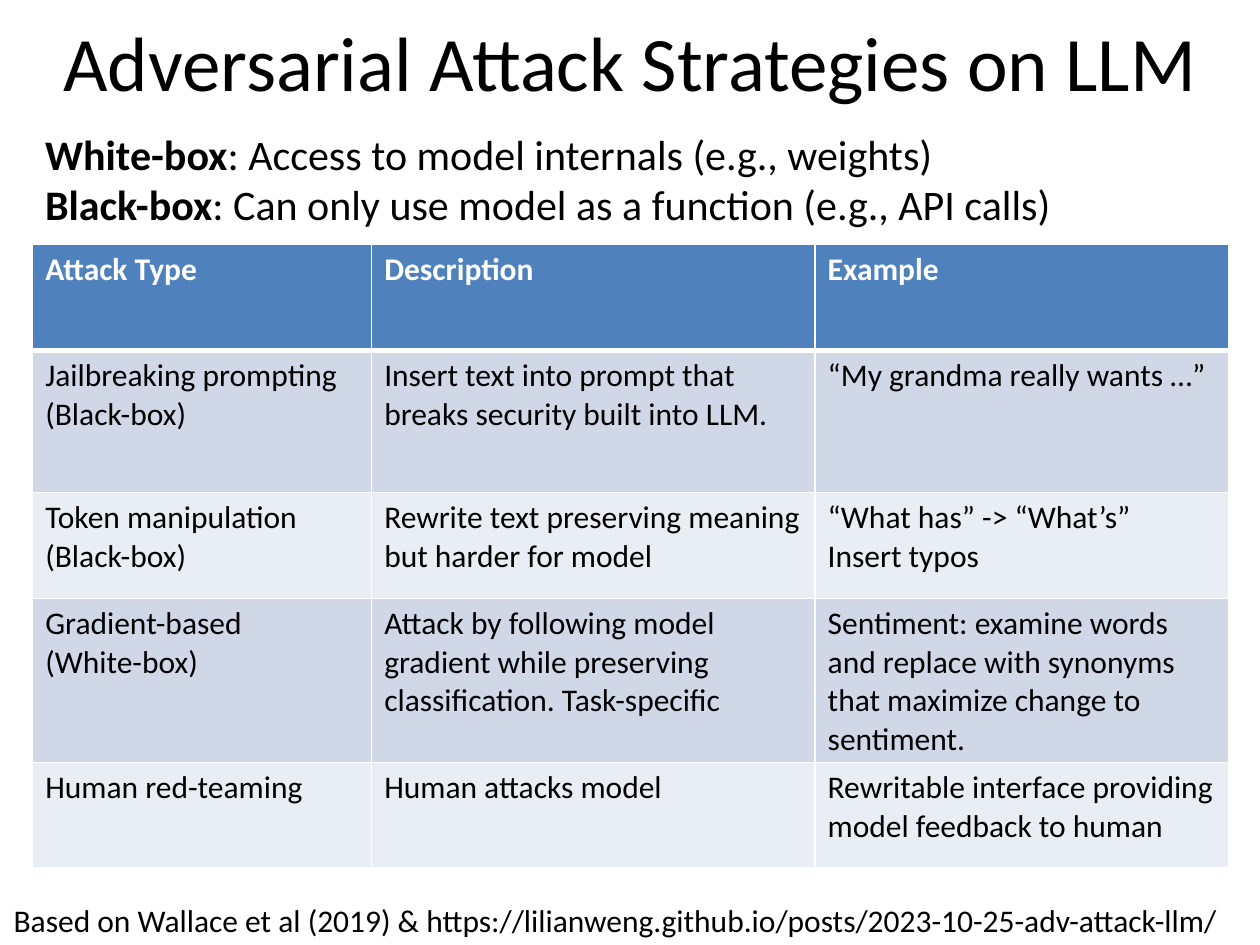
"""Build a slide that tabulates adversarial attack strategies on LLMs."""
from dataclasses import dataclass

from lxml.etree import SubElement
from pptx import Presentation
from pptx.dml.color import RGBColor as Rgb
from pptx.enum.text import MSO_ANCHOR as Anchor, MSO_AUTO_SIZE as Auto, PP_ALIGN as Align
from pptx.oxml.ns import qn
from pptx.util import Inches, Pt

FONT = "Calibri"
HUES = {"ink": "000000", "white": "FFFFFF", "head": "4F81BD",
        "odd": "D0D8E8", "even": "E9EDF4"}
LEFT, WIDE = 0.26, 9.49
COLS = (2.69, 3.52, 3.28)


@dataclass
class Row:
    kind: str
    about: str
    case: str
    high: float = 0.84


@dataclass
class Term:
    name: str
    sense: str


ROWS = [
    Row("Attack Type", "Description", "Example"),
    Row("Jailbreaking prompting\n(Black-box)",
        "Insert text into prompt that breaks security built into LLM.",
        "“My grandma really wants …”", 1.13),
    Row("Token manipulation\n(Black-box)",
        "Rewrite text preserving meaning but harder for model",
        "“What has” -> “What’s”\nInsert typos"),
    Row("Gradient-based\n(White-box)",
        "Attack by following model gradient while preserving classification. Task-specific",
        "Sentiment: examine words and replace with synonyms that maximize change to sentiment.",
        1.29),
    Row("Human red-teaming", "Human attacks model",
        "Rewritable interface providing model feedback to human"),
]
TERMS = [
    Term("White-box", ": Access to model internals (e.g., weights)"),
    Term("Black-box", ": Can only use model as a function (e.g., API calls)"),
]
CREDIT = "Based on Wallace et al (2019) & https://lilianweng.github.io/posts/2023-10-25-adv-attack-llm/"


def style(font, size: int, hue: str = "ink") -> None:
    """Set the face, size and colour of a font."""
    font.name, font.size = FONT, Pt(size)
    font.color.rgb = Rgb.from_string(HUES[hue])


def edge(cell, side: str, width: int) -> None:
    """Draw one white border of a cell."""
    line = SubElement(cell._tc.get_or_add_tcPr(), qn(f"a:ln{side}"), w=str(Pt(width)))
    fill = SubElement(line, qn("a:solidFill"))
    SubElement(fill, qn("a:srgbClr"), val=HUES["white"])


def draw_title(slide, text: str) -> None:
    """Place and fill the title."""
    title = slide.shapes.title
    title.left, title.top = Inches(LEFT), Inches(0)
    title.width, title.height = Inches(WIDE), Inches(0.97)
    frame = title.text_frame
    frame.text = text
    frame.auto_size, frame.vertical_anchor = Auto.NONE, Anchor.MIDDLE
    par = frame.paragraphs[0]
    par.alignment = Align.CENTER
    style(par.font, 44)


def add_box(slide, left: float, top: float, width: float, high: float):
    """Add a wrapping text box and return its frame."""
    box = slide.shapes.add_textbox(Inches(left), Inches(top), Inches(width), Inches(high))
    box.text_frame.word_wrap = True
    box.text_frame.auto_size = Auto.SHAPE_TO_FIT_TEXT
    return box.text_frame


def draw_terms(slide, terms: list[Term]) -> None:
    """Write each term in bold with its meaning."""
    frame = add_box(slide, LEFT, 0.97, 9.36, 0.91)
    for i, term in enumerate(terms):
        par = frame.add_paragraph() if i else frame.paragraphs[0]
        style(par.font, 24)
        name = par.add_run()
        name.text, name.font.bold = term.name, True
        par.add_run().text = term.sense


def draw_cell(cell, text: str, i: int) -> None:
    """Fill, border and write one cell of row i."""
    for side, width in {"L": 1, "R": 1, "T": 3 if i == 1 else 1, "B": 1 if i else 3}.items():
        edge(cell, side, width)
    cell.fill.solid()
    hue = "head" if i == 0 else "odd" if i % 2 else "even"
    cell.fill.fore_color.rgb = Rgb.from_string(HUES[hue])
    cell.text = text
    for par in cell.text_frame.paragraphs:
        style(par.font, 18, "ink" if i else "white")
        par.font.bold = i == 0


def draw_table(slide, rows: list[Row]) -> None:
    """Draw the table of attacks."""
    high = sum(row.high for row in rows)
    table = slide.shapes.add_table(len(rows), len(COLS), Inches(LEFT), Inches(1.94),
                                   Inches(WIDE), Inches(high)).table
    for col, width in zip(table.columns, COLS):
        col.width = Inches(width)
    for i, row in enumerate(rows):
        table.rows[i].height = Inches(row.high)
        for j, text in enumerate((row.kind, row.about, row.case)):
            draw_cell(table.cell(i, j), text, i)


def main() -> None:
    """Build and save the deck."""
    deck = Presentation()
    deck.slide_width, deck.slide_height = Inches(10), Inches(7.5)
    slide = deck.slides.add_slide(deck.slide_layouts[5])
    draw_title(slide, "Adversarial Attack Strategies on LLM")
    credit = add_box(slide, 0.01, 7.1, 10, 0.4)
    credit.text = CREDIT
    style(credit.paragraphs[0].font, 18)
    draw_table(slide, ROWS)
    draw_terms(slide, TERMS)
    deck.save("out.pptx")


if __name__ == "__main__":
    main()
